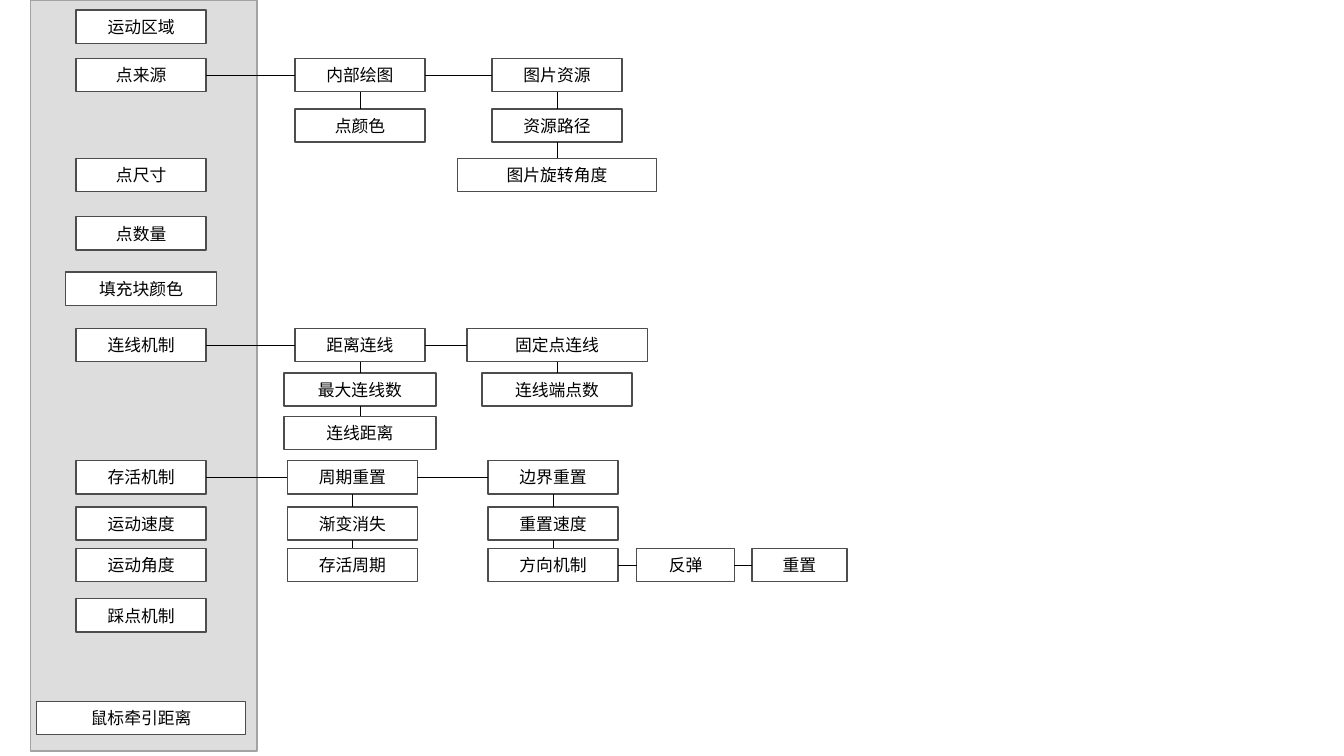
from itertools import pairwise

from lxml import etree
from pptx import Presentation
from pptx.dml.color import RGBColor
from pptx.enum.shapes import MSO_CONNECTOR, MSO_SHAPE
from pptx.enum.text import MSO_ANCHOR, PP_ALIGN
from pptx.oxml.ns import qn
from pptx.util import Inches, Pt

RECTANGLE = MSO_SHAPE.RECTANGLE
STRAIGHT = MSO_CONNECTOR.STRAIGHT
CENTER = PP_ALIGN.CENTER
MIDDLE = MSO_ANCHOR.MIDDLE
TOP, LEFT, BOTTOM, RIGHT = range(4)  # connection sites of a rectangle

THEME = {
    "font": "Noto Sans CJK SC",
    "size": Pt(12),
    "text": RGBColor(0x00, 0x00, 0x00),
    "box": RGBColor(0xFF, 0xFF, 0xFF),
    "border": RGBColor(0x4D, 0x4D, 0x4D),
    "panel": RGBColor(0xDD, 0xDD, 0xDD),
    "panel_border": RGBColor(0xA3, 0xA3, 0xA3),
    "border_width": Pt(1),
    "link_width": Pt(0.5),
}

BOX_HEIGHT = 0.33
BOX_WIDTH = 1.29

# Column centres and row tops, in inches
COLUMNS = {"setting": 1.4, "inner": 3.57, "outer": 5.525,
           "period": 3.495, "edge": 5.485, "bounce": 6.8, "reset": 7.93}
ROWS = {"area": 0.1, "source": 0.58, "source 2": 1.08, "size": 1.57,
        "count": 2.15, "fill": 2.7, "line": 3.26, "line 2": 3.7,
        "line 3": 4.13, "life": 4.57, "speed": 5.03, "angle": 5.44,
        "beat": 5.94, "mouse": 6.96}

# Each setting: text, row, width
SETTINGS = [
    ("运动区域", "area", BOX_WIDTH),
    ("点来源", "source", BOX_WIDTH),
    ("点尺寸", "size", BOX_WIDTH),
    ("点数量", "count", BOX_WIDTH),
    ("填充块颜色", "fill", 1.5),
    ("连线机制", "line", BOX_WIDTH),
    ("存活机制", "life", BOX_WIDTH),
    ("运动速度", "speed", BOX_WIDTH),
    ("运动角度", "angle", BOX_WIDTH),
    ("踩点机制", "beat", BOX_WIDTH),
    ("鼠标牵引距离", "mouse", 2.07),
]

# Each option stack: column, then its boxes from top to bottom
OPTION_STACKS = [
    ("inner", [("内部绘图", "source", BOX_WIDTH), ("点颜色", "source 2", BOX_WIDTH)]),
    ("outer", [("图片资源", "source", BOX_WIDTH), ("资源路径", "source 2", BOX_WIDTH),
               ("图片旋转角度", "size", 1.97)]),
    ("inner", [("距离连线", "line", BOX_WIDTH), ("最大连线数", "line 2", 1.51),
               ("连线距离", "line 3", 1.51)]),
    ("outer", [("固定点连线", "line", 1.79), ("连线端点数", "line 2", 1.49)]),
    ("period", [("周期重置", "life", BOX_WIDTH), ("渐变消失", "speed", BOX_WIDTH),
                ("存活周期", "angle", BOX_WIDTH)]),
    ("edge", [("边界重置", "life", BOX_WIDTH), ("重置速度", "speed", BOX_WIDTH),
              ("方向机制", "angle", BOX_WIDTH)]),
    ("bounce", [("反弹", "angle", 0.97)]),
    ("reset", [("重置", "angle", 0.94)]),
]

# Boxes joined from left to right
CHAINS = [
    ("点来源", "内部绘图", "图片资源"),
    ("连线机制", "距离连线", "固定点连线"),
    ("存活机制", "周期重置", "边界重置"),
    ("方向机制", "反弹", "重置"),
]

deck = Presentation()
deck.slide_width = Inches(13.33)
deck.slide_height = Inches(7.5)
page = deck.slides.add_slide(deck.slide_layouts[6])


def add_box(left, top, width, height, fill, border):
    box = page.shapes.add_shape(RECTANGLE, Inches(left), Inches(top),
                                Inches(width), Inches(height))
    box.shadow.inherit = False
    box.fill.solid()
    box.fill.fore_color.rgb = fill
    box.line.color.rgb = border
    box.line.width = THEME["border_width"]
    return box


def add_link(start, start_site, end, end_site):
    link = page.shapes.add_connector(STRAIGHT, 0, 0, 0, 0)
    link.begin_connect(start, start_site)
    link.end_connect(end, end_site)
    link.line.color.rgb = THEME["text"]
    link.line.width = THEME["link_width"]
    etree.SubElement(link._element.spPr, qn("a:effectLst"))


add_box(0.3, 0, 2.25, 7.45, THEME["panel"], THEME["panel_border"])

boxes = {}
for column, entries in [("setting", SETTINGS), *OPTION_STACKS]:
    for text, row, width in entries:
        box = add_box(COLUMNS[column] - width / 2, ROWS[row], width, BOX_HEIGHT,
                      THEME["box"], THEME["border"])
        frame = box.text_frame
        frame.word_wrap = True
        frame.vertical_anchor = MIDDLE
        frame.text = text
        para = frame.paragraphs[0]
        para.alignment = CENTER
        span = para.runs[0]
        span.font.name = THEME["font"]
        span.font.size = THEME["size"]
        span.font.color.rgb = THEME["text"]
        east_asian = etree.SubElement(span.font._element, qn("a:ea"))
        east_asian.set("typeface", THEME["font"])
        boxes[text] = box

for column, entries in OPTION_STACKS:
    for upper, lower in pairwise(entries):
        add_link(boxes[upper[0]], BOTTOM, boxes[lower[0]], TOP)

for chain in CHAINS:
    for start, end in pairwise(chain):
        add_link(boxes[start], RIGHT, boxes[end], LEFT)

deck.save("out.pptx")
